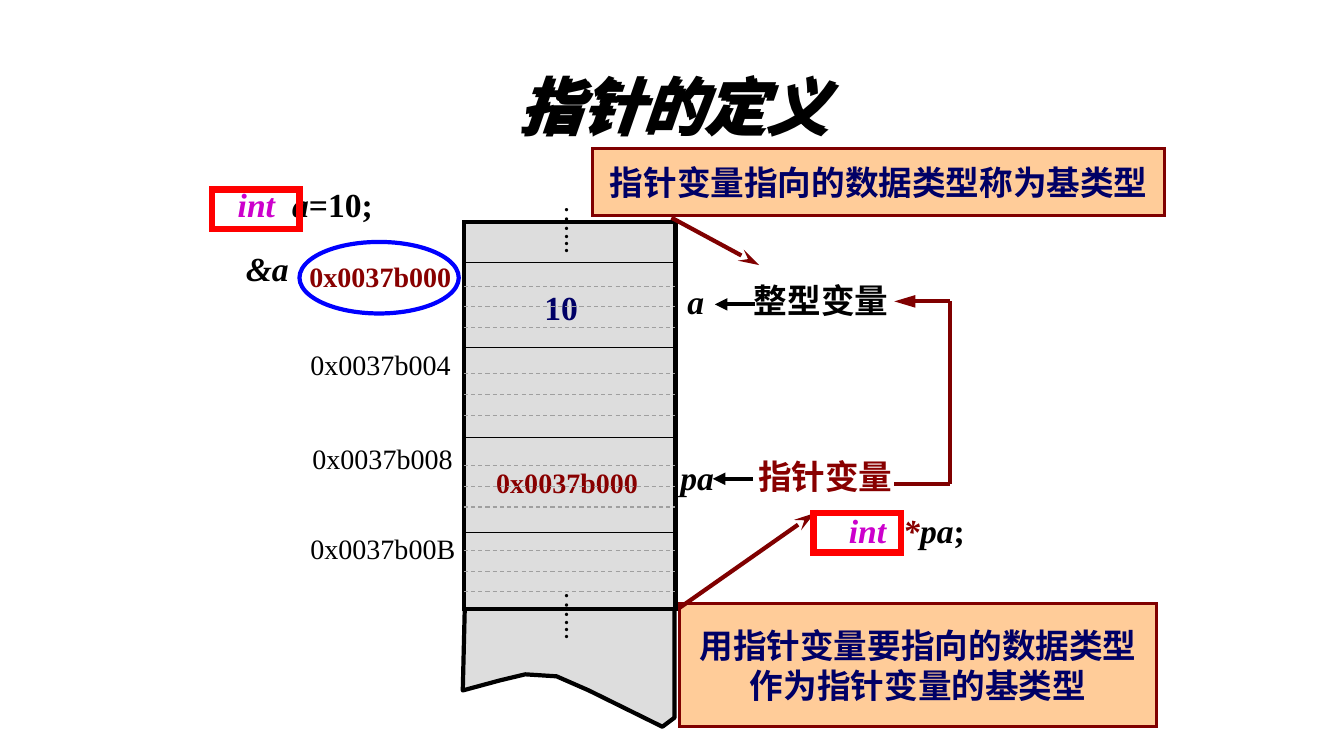
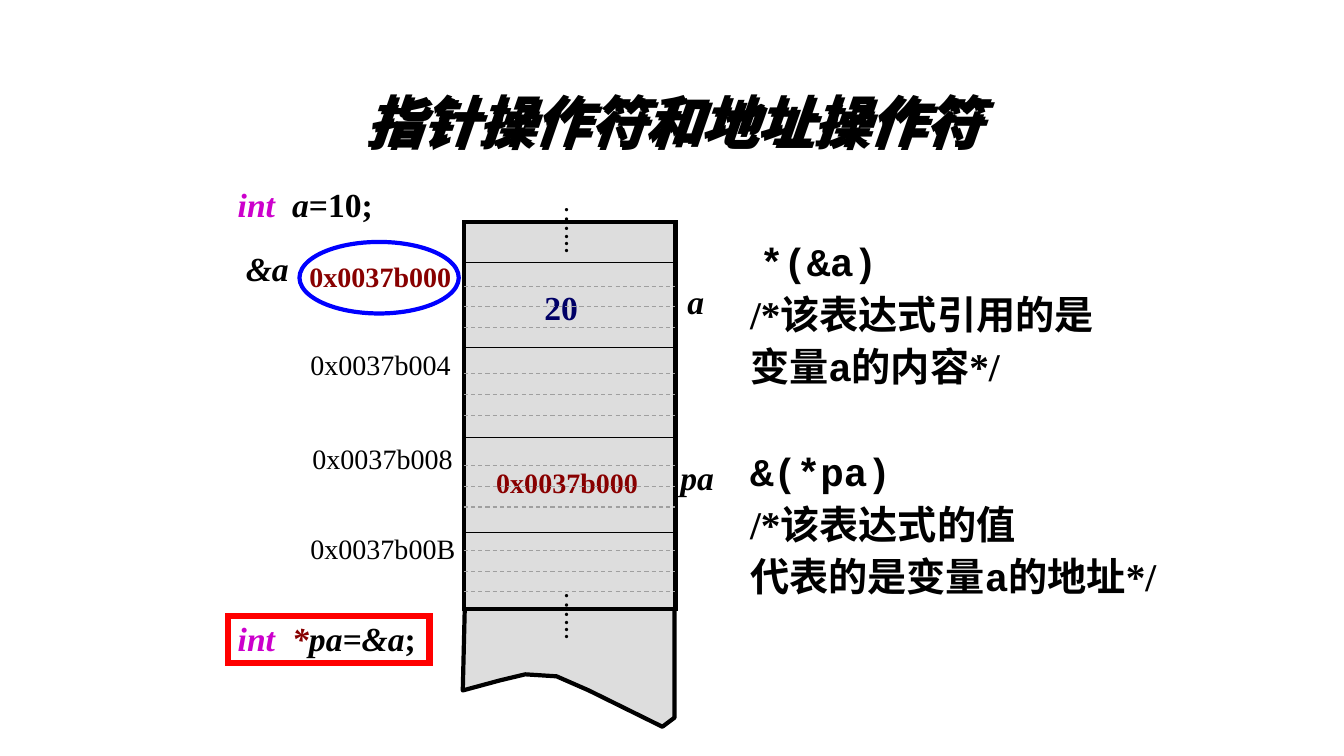
"""Build two slides that explain C pointers with a memory diagram."""
from dataclasses import dataclass
from typing import NamedTuple

from lxml.etree import SubElement
from pptx import Presentation
from pptx.dml.color import RGBColor
from pptx.enum.dml import MSO_LINE_DASH_STYLE as Dash
from pptx.enum.shapes import MSO_CONNECTOR as Connector, MSO_SHAPE as Preset
from pptx.enum.text import MSO_ANCHOR as Anchor, MSO_AUTO_SIZE as AutoSize, PP_ALIGN as Align
from pptx.oxml.ns import qn
from pptx.util import Inches, Pt

COLORS = {
    "black": "000000", "keyword": "CC00CC", "address": "880000", "navy": "000066",
    "maroon": "800000", "peach": "FFCC99", "memory": "DDDDDD", "dash": "9F9F9F",
    "blue": "0000FF", "red": "FF0000",
}
SERIF, MONO, SANS = "Times New Roman", "Courier New", "Noto Sans CJK SC"
MEMORY_LEFT, MEMORY_TOP, MEMORY_WIDTH, MEMORY_HEIGHT = 4.6, 2.2, 2.1, 3.84
CELL_EDGES = (2.6, 3.45, 4.34, 5.28)
BYTE_STARTS, BYTE_PITCH = (2.84, 3.71, 4.62, 5.46), 0.205
TORN_EDGE = (
    (4.61, 6.04), (6.69, 6.04), (6.69, 7.12), (6.57, 7.21), (5.84, 6.85),
    (5.52, 6.71), (5.21, 6.69), (4.96, 6.75), (4.59, 6.85),
)
CODE_TAB = 0.54
HANGING = 0.41


class Area(NamedTuple):
    left: float
    top: float
    width: float
    height: float


class Span(NamedTuple):
    text: str
    color: str | None = None
    italic: bool | None = None
    font: str | None = None


@dataclass(frozen=True)
class Style:
    size: float = 24
    color: str = "black"
    bold: bool = True
    italic: bool = False
    font: str = SERIF
    align: Align = Align.LEFT


@dataclass(frozen=True)
class Label:
    area: Area
    spans: tuple[Span, ...]
    style: Style
    vertical: bool = False


@dataclass(frozen=True)
class Stroke:
    start: tuple[float, float]
    end: tuple[float, float]
    color: str = "black"
    width: float = 3
    head: str | None = None
    head_length: str = "med"
    dash: Dash | None = None


@dataclass(frozen=True)
class Outline:
    preset: Preset
    area: Area
    color: str
    width: float
    fill: str | None = None


CODE = Style(italic=True)
PLAIN_ADDRESS = Style(20, bold=False)
STORED_ADDRESS = Style(20, "address")
CENTERED_ADDRESS = Style(20, "address", align=Align.CENTER)
CELL_VALUE = Style(color="navy", align=Align.CENTER)
DOTS = Style(20, bold=False, align=Align.CENTER)
BODY = Style(28)

SIDE_LABELS = (
    Label(Area(2.26, 1.78, 1.8, 0.5),
          (Span("int", "keyword"), Span("\ta"), Span("=10;", italic=False)), CODE),
    Label(Area(2.97, 2.53, 1.61, 0.43), (Span("0x0037b000"),), STORED_ADDRESS),
    Label(Area(6.72, 2.74, 0.37, 0.5), (Span("a"),), CODE),
    Label(Area(2.98, 3.4, 1.59, 0.43), (Span("0x0037b004"),), PLAIN_ADDRESS),
    Label(Area(3, 4.33, 1.59, 0.43), (Span("0x0037b008"),), PLAIN_ADDRESS),
    Label(Area(2.98, 5.22, 1.64, 0.43), (Span("0x0037b00B"),), PLAIN_ADDRESS),
    Label(Area(2.34, 2.41, 0.63, 0.5), (Span("&a"),), CODE),
    Label(Area(6.65, 4.48, 0.53, 0.5), (Span("pa"),), CODE),
)
TYPE_LABELS = (
    Label(Area(7.38, 2.73, 1.54, 0.5), (Span("整型变量"),), Style(font=SANS)),
    Label(Area(7.42, 4.47, 1.54, 0.5), (Span("指针变量"),), Style(color="address")),
    Label(Area(8.32, 5.01, 1.7, 0.5),
          (Span("int", "keyword"), Span("\t*", "address"), Span("pa"),
           Span(";", italic=False)), CODE),
)
POINTER_CODE = Label(
    Area(2.26, 6.08, 2.3, 0.5),
    (Span("int", "keyword"), Span("\t*", "address"), Span("pa=&a"),
     Span(";", italic=False)), CODE)
CALLOUTS = (
    (Area(5.88, 1.47, 5.67, 0.67), ("指针变量指向的数据类型称为基类型",)),
    (Area(6.74, 5.99, 4.73, 1.22), ("用指针变量要指向的数据类型", "作为指针变量的基类型")),
)
ARROWS = (
    Stroke((6.66, 2.16), (7.53, 2.63), "maroon", head="stealth", head_length="lg"),
    Stroke((6.74, 6.03), (8.08, 5.09), "maroon", head="stealth", head_length="lg"),
    Stroke((8.87, 4.8), (9.42, 4.8), "maroon"),
    Stroke((9.42, 4.8), (9.42, 2.99), "maroon"),
    Stroke((9.42, 2.99), (8.87, 2.99), "maroon", head="triangle", head_length="lg"),
    Stroke((7.49, 3.02), (7.09, 3.02), head="triangle"),
    Stroke((7.47, 4.75), (7.07, 4.75), head="triangle"),
)
TYPE_FRAMES = (Area(2.1, 1.88, 0.87, 0.39), Area(8.07, 5.09, 0.87, 0.39))
EXPLANATION = (
    (Span(" "), Span("*(&a)", font=MONO)),
    (Span("/*该表达式引用的是"),),
    (Span("变量"), Span("a", font=MONO), Span("的内容*/")),
    (Span("&(*pa)", font=MONO),),
    (Span("/*该表达式的值"),),
    (Span("代表的是变量"), Span("a", font=MONO), Span("的地址*/")),
)
SECOND_EXPRESSION = 3


def rgb(name: str) -> RGBColor:
    """Look up a named colour."""
    return RGBColor.from_string(COLORS[name])


def inches(values: tuple[float, ...]) -> list[Inches]:
    """Turn plain numbers into lengths."""
    return [Inches(value) for value in values]


def has_tab(spans: tuple[Span, ...]) -> bool:
    """Tell whether a line of text uses the code tab stop."""
    return any("\t" in span.text for span in spans)


def write(para, spans: tuple[Span, ...], style: Style) -> None:
    """Fill a paragraph with runs in one style plus their exceptions."""
    para.alignment = style.align
    properties = para._p.get_or_add_pPr()
    if has_tab(spans):
        tabs = SubElement(properties, qn("a:tabLst"))
        SubElement(tabs, qn("a:tab"), pos=str(Inches(CODE_TAB)), algn="l")
    font = para.font
    font.size, font.bold, font.italic = Pt(style.size), style.bold, style.italic
    font.color.rgb = rgb(style.color)
    font.name = style.font
    SubElement(properties.find(qn("a:defRPr")), qn("a:ea"), typeface=SANS)
    for span in spans:
        run = para.add_run()
        run.text = span.text
        if span.italic is not None:
            run.font.italic = span.italic
        if span.color:
            run.font.color.rgb = rgb(span.color)
        if span.font:
            run.font.name = span.font


def add_label(page, label: Label) -> None:
    """Add a one-line text box; tabbed code keeps its full box width."""
    frame = page.shapes.add_textbox(*inches(label.area)).text_frame
    frame.word_wrap = has_tab(label.spans)
    frame.auto_size = AutoSize.SHAPE_TO_FIT_TEXT
    if label.style.align == Align.CENTER:
        frame.vertical_anchor = Anchor.MIDDLE
    if label.vertical:
        frame._txBody.find(qn("a:bodyPr")).set("vert", "eaVert")
    write(frame.paragraphs[0], label.spans, label.style)


def add_stroke(page, stroke: Stroke) -> None:
    """Add a straight line, with an arrowhead at its end if asked."""
    line = page.shapes.add_connector(
        Connector.STRAIGHT, *inches(stroke.start), *inches(stroke.end))
    line.line.color.rgb = rgb(stroke.color)
    line.line.width = Pt(stroke.width)
    if stroke.dash:
        line.line.dash_style = stroke.dash
    if stroke.head:
        SubElement(line.line._get_or_add_ln(), qn("a:tailEnd"),
                   type=stroke.head, len=stroke.head_length)
    SubElement(line._element.spPr, qn("a:effectLst"))


def paint(shape, color: str, width: float, fill: str | None) -> None:
    """Set a shape's line and fill and take away its shadow."""
    shape.shadow.inherit = False
    shape.line.color.rgb = rgb(color)
    shape.line.width = Pt(width)
    if fill:
        shape.fill.solid()
        shape.fill.fore_color.rgb = rgb(fill)
    else:
        shape.fill.background()


def add_outline(page, outline: Outline):
    """Add a preset shape with sharp corners."""
    shape = page.shapes.add_shape(outline.preset, *inches(outline.area))
    paint(shape, outline.color, outline.width, outline.fill)
    SubElement(shape.line._get_or_add_ln(), qn("a:miter"), lim="800000")
    return shape


def add_callout(page, area: Area, lines: tuple[str, ...]) -> None:
    """Add a peach box with centred lines."""
    box = add_outline(page, Outline(Preset.RECTANGLE, area, "maroon", 2.25, "peach"))
    frame = box.text_frame
    frame.word_wrap = False
    frame.vertical_anchor = Anchor.MIDDLE
    for index, line in enumerate(lines):
        para = frame.add_paragraph() if index else frame.paragraphs[0]
        write(para, (Span(line),), CELL_VALUE)


def add_title(page, area: Area, text: str, size: float) -> None:
    """Add the slanted title with its hard shadow."""
    box = page.shapes.add_textbox(*inches(area))
    frame = box.text_frame
    frame.word_wrap = True
    frame.vertical_anchor = Anchor.MIDDLE
    para = frame.paragraphs[0]
    para.line_spacing = 0.85
    write(para, (Span(text),), Style(size, italic=True, align=Align.CENTER))
    effects = SubElement(box._element.spPr, qn("a:effectLst"))
    shadow = SubElement(effects, qn("a:outerShdw"), dist=str(Pt(3)), dir="2700000")
    SubElement(shadow, qn("a:srgbClr"), val=COLORS["black"])


def add_memory(page, value: str) -> None:
    """Draw the memory column, its cells and its labels."""
    for label in SIDE_LABELS:
        add_label(page, label)
    corners = [tuple(inches(point)) for point in TORN_EDGE]
    builder = page.shapes.build_freeform(*corners[0])
    builder.add_line_segments(corners[1:], close=True)
    paint(builder.convert_to_shape(), "black", 3, "memory")
    column = Area(MEMORY_LEFT, MEMORY_TOP, MEMORY_WIDTH, MEMORY_HEIGHT)
    add_outline(page, Outline(Preset.RECTANGLE, column, "black", 3, "memory"))
    right = MEMORY_LEFT + MEMORY_WIDTH
    for y in CELL_EDGES:
        add_stroke(page, Stroke((MEMORY_LEFT, y), (right, y), width=0.75))
    for top in (1.94, 5.77):
        add_label(page, Label(Area(5.45, top, 0.54, 0.59), (Span("…..."),), DOTS, True))
    add_label(page, Label(Area(5.3, 2.8, 0.53, 0.5), (Span(value),), CELL_VALUE))
    add_outline(page, Outline(Preset.OVAL, Area(2.97, 2.4, 1.58, 0.71), "blue", 3))
    add_label(page, Label(Area(4.82, 4.57, 1.61, 0.43), (Span("0x0037b000"),),
                          CENTERED_ADDRESS))
    for start in BYTE_STARTS:
        for step in range(3):
            y = start + step * BYTE_PITCH
            add_stroke(page, Stroke((MEMORY_LEFT, y), (right, y), "dash", 0.75,
                                    dash=Dash.DASH))


def add_explanation(page) -> None:
    """Add the two expressions with their comments."""
    frame = page.shapes.add_textbox(*inches(Area(7.34, 2.34, 4.29, 4.95))).text_frame
    frame.word_wrap = True
    for index, spans in enumerate(EXPLANATION):
        para = frame.add_paragraph() if index else frame.paragraphs[0]
        properties = para._p.get_or_add_pPr()
        properties.set("marL", str(Inches(HANGING)))
        properties.set("indent", str(-Inches(HANGING)))
        para.line_spacing = 0.95
        if index:
            para.space_before = Pt(43 if index == SECOND_EXPRESSION else 5.6)
        write(para, spans, BODY)


def add_frame(page, area: Area) -> None:
    """Add a red frame around a piece of code."""
    add_outline(page, Outline(Preset.RECTANGLE, area, "red", 4.5))


def main() -> None:
    """Build both slides and save the deck."""
    deck = Presentation()
    deck.slide_width, deck.slide_height = Inches(13.33), Inches(7.5)
    blank = deck.slide_layouts[6]

    page = deck.slides.add_slide(blank)
    add_title(page, Area(0.99, 0.63, 11.37, 0.92), "指针的定义", 44)
    add_memory(page, "10")
    for area, lines in CALLOUTS:
        add_callout(page, area, lines)
    for arrow in ARROWS:
        add_stroke(page, arrow)
    for label in TYPE_LABELS:
        add_label(page, label)
    for area in TYPE_FRAMES:
        add_frame(page, area)

    page = deck.slides.add_slide(blank)
    add_title(page, Area(2.41, 0.78, 8.53, 0.92), "指针操作符和地址操作符", 40)
    add_memory(page, "20")
    add_label(page, POINTER_CODE)
    add_frame(page, Area(2.26, 6.11, 2, 0.47))
    add_explanation(page)
    deck.save("out.pptx")


if __name__ == "__main__":
    main()
